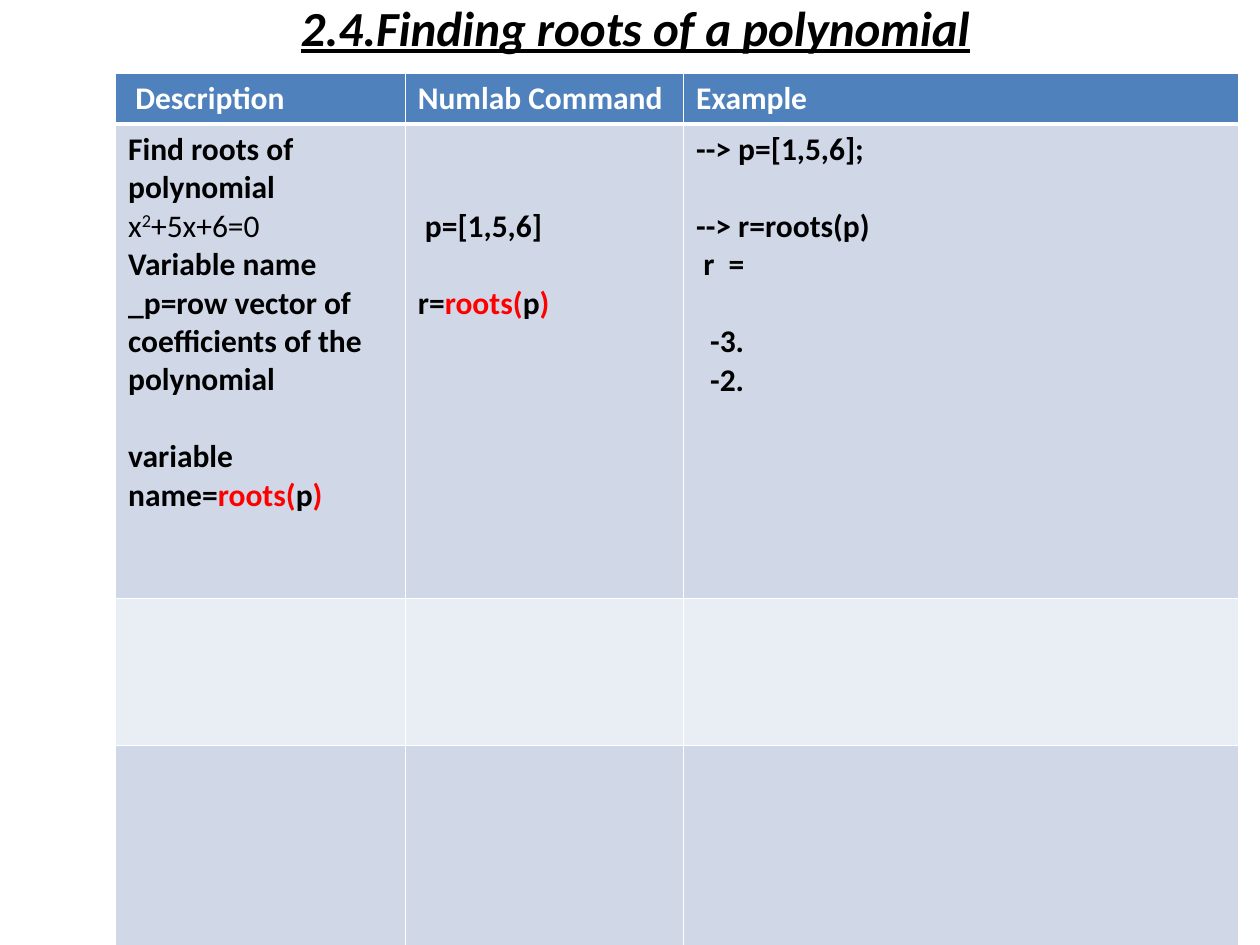
import lxml.etree
import pptx
from pptx.dml.color import RGBColor
from pptx.enum.text import MSO_ANCHOR, MSO_AUTO_SIZE, PP_ALIGN
from pptx.oxml.ns import qn
from pptx.util import Cm, Pt


class Theme:
    font = "Calibri"
    title_size, text_size = Pt(28), Pt(18)
    line_gap = Pt(22)
    output_indent = Pt(8)
    thin, thick = Pt(1), Pt(3)
    black, white, red = (RGBColor.from_string(c) for c in ("000000", "FFFFFF", "FF0000"))
    header, odd, even = (RGBColor.from_string(c) for c in ("4F81BD", "D0D8E8", "E9EDF4"))


COLUMNS = [5.84, 5.61, 11.2]
ROWS = [1.02, 9.56, 2.97, 4.75]
HEADINGS = [" Description", "Numlab Command", "Example"]

RED = {"color": Theme.red}
PLAIN = {"bold": False}
ROOTS_CALL = [("roots(", RED), ("p", {}), (")", RED)]

# Each paragraph: runs of (text, format), then paragraph options.
DESCRIPTION = [
    ([("Find roots of polynomial", {})], {}),
    ([("x", PLAIN), ("2", {"bold": False, "baseline": 30000}), ("+5x+6=0", PLAIN)], {}),
    ([("Variable name _p=row vector of coefficients of the polynomial", {})], {}),
    ([("variable name=", {}), *ROOTS_CALL], {"gap": True}),
]
COMMAND = [
    ([(" p=[1,5,6]", {})], {}),
    ([("r=", {}), *ROOTS_CALL], {"gap": True}),
]
EXAMPLE = [
    ([("--> p=[1,5,6];", {})], {}),
    ([("--> r=roots(p)", {})], {"gap": True}),
    ([(" r  =", {})], {}),
    ([("-3.", {})], {"gap": True, "indent": True}),
    ([("-2.", {})], {"indent": True}),
]


def add_run(p, text, color=Theme.black, baseline=None, **formats):
    r = p.add_run()
    r.text = text
    values = {"name": Theme.font, "size": Theme.text_size, "bold": True, **formats}
    for name, value in values.items():
        setattr(r.font, name, value)
    r.font.color.rgb = color
    if baseline:
        r.font._element.set("baseline", str(baseline))


def add_title(s, text):
    title = s.shapes.title
    title.left, title.top, title.width, title.height = Cm(0.64), Cm(0), Cm(24.33), Cm(1.07)
    tf = title.text_frame
    for name, value in {"auto_size": MSO_AUTO_SIZE.NONE, "word_wrap": True,
                        "vertical_anchor": MSO_ANCHOR.MIDDLE}.items():
        setattr(tf, name, value)
    p = tf.paragraphs[0]
    p.alignment = PP_ALIGN.CENTER
    add_run(p, text, size=Theme.title_size, italic=True, underline=True)


def set_borders(cell, **widths):
    """Draw white borders; widths overrides the thin line by side (L, R, T, B)."""
    tcPr = cell._tc.get_or_add_tcPr()
    for i, side in enumerate("LRTB"):
        ln = lxml.etree.Element(qn(f"a:ln{side}"), w=str(widths.get(side, Theme.thin)))
        fill = lxml.etree.SubElement(ln, qn("a:solidFill"))
        lxml.etree.SubElement(fill, qn("a:srgbClr"), val=str(Theme.white))
        tcPr.insert(i, ln)


def fill_cell(cell, paragraphs):
    tf = cell.text_frame
    for i, (runs, options) in enumerate(paragraphs):
        p = tf.add_paragraph() if i else tf.paragraphs[0]
        if options.get("gap"):
            p.space_before = Theme.line_gap
        if options.get("indent"):
            p._p.get_or_add_pPr().set("marL", str(Theme.output_indent))
        for text, formats in runs:
            add_run(p, text, **formats)


def add_command_table(s):
    frame = s.shapes.add_table(len(ROWS), len(COLUMNS), Cm(2.33), Cm(1.47),
                               Cm(sum(COLUMNS)), Cm(sum(ROWS)))
    table = frame.table
    for column, width in zip(table.columns, COLUMNS):
        column.width = Cm(width)
    for i, (row, height) in enumerate(zip(table.rows, ROWS)):
        row.height = Cm(height)
        for cell in row.cells:
            cell.fill.solid()
            cell.fill.fore_color.rgb = (
                Theme.header if i == 0 else Theme.odd if i % 2 else Theme.even)
            set_borders(cell, **{0: {"B": Theme.thick}, 1: {"T": Theme.thick}}.get(i, {}))

    for j, heading in enumerate(HEADINGS):
        fill_cell(table.cell(0, j), [([(heading, {"color": Theme.white})], {})])
    for j, paragraphs in enumerate([DESCRIPTION, COMMAND, EXAMPLE]):
        fill_cell(table.cell(1, j), paragraphs)
    # The command starts level with the equation, two lines down.
    table.cell(1, 1).margin_top = Cm(0.13) + 2 * Theme.line_gap


def main():
    prs = pptx.Presentation()
    prs.slide_width, prs.slide_height = Cm(25.4), Cm(19.05)
    s = prs.slides.add_slide(prs.slide_layouts[5])
    add_title(s, "2.4.Finding roots of a polynomial")
    add_command_table(s)
    prs.save("out.pptx")


if __name__ == "__main__":
    main()
